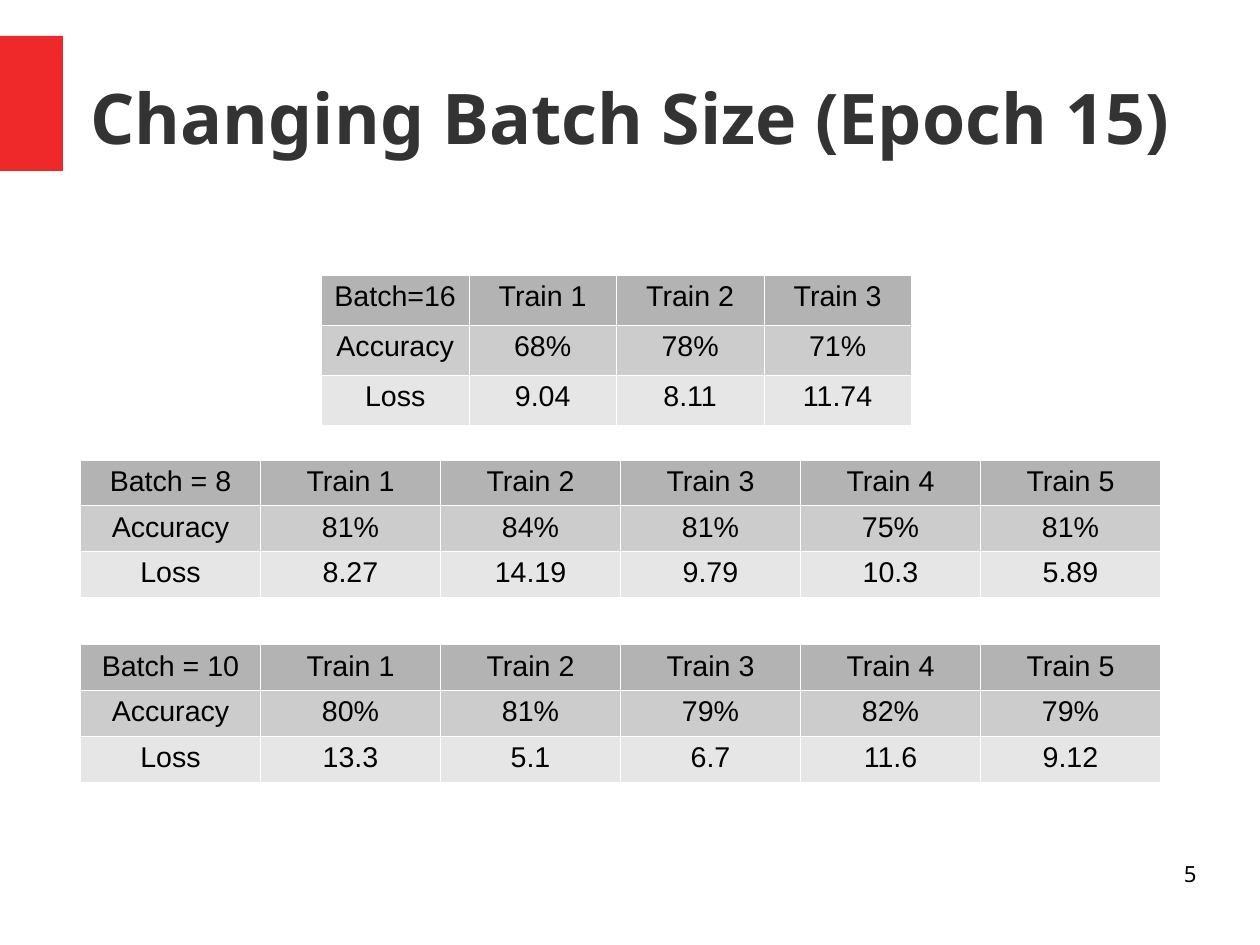
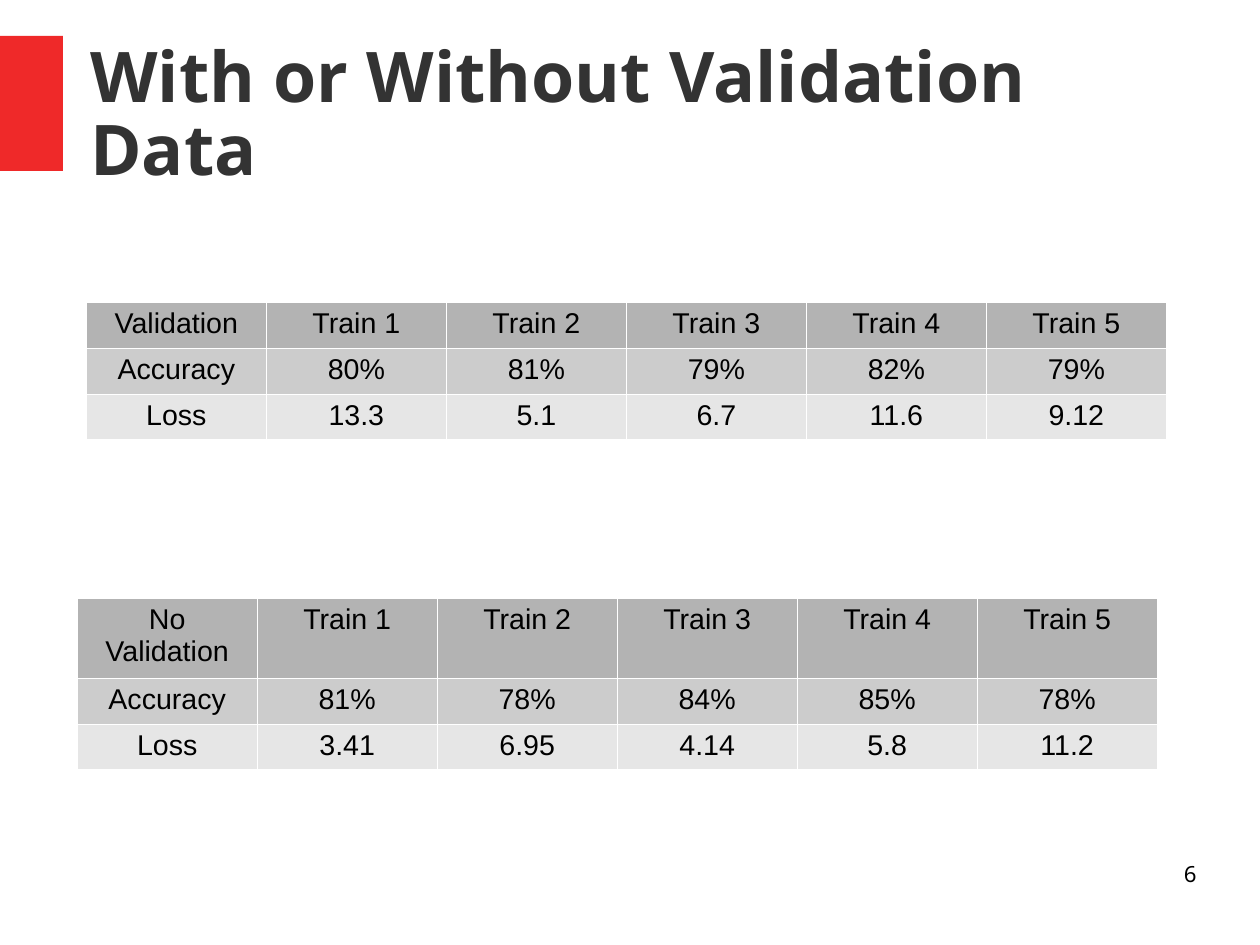
from lxml.etree import SubElement
from pptx import Presentation
from pptx.dml.color import RGBColor
from pptx.enum.shapes import MSO_SHAPE as Shape
from pptx.enum.text import MSO_ANCHOR as Anchor, PP_ALIGN as Align
from pptx.oxml.ns import qn
from pptx.util import Pt

SLIDE_WIDTH, SLIDE_HEIGHT = 793.7, 595.28
TITLE_MIDDLE = 73.6
WIDE_COLUMN = 113.4
ROW_HEIGHT = 28.8


def color(hex_string):
    return RGBColor.from_string(hex_string)


class Deck:
    """Holds the shared style and the slide being filled."""
    ACCENT, TITLE_INK, INK, BORDER = "EF2929", "333333", "000000", "FFFFFF"
    ROW_FILLS = ("B3B3B3", "CCCCCC", "E6E6E6")
    TITLE_FONT, TABLE_FONT = "Noto Sans", "Arial"

    def __init__(self, first_number):
        self.prs = Presentation()
        self.prs.slide_width, self.prs.slide_height = Pt(SLIDE_WIDTH), Pt(SLIDE_HEIGHT)
        self.number = first_number - 1

    def new_slide(self, title, title_height, title_spacing=1.0):
        self.slide = self.prs.slides.add_slide(self.prs.slide_layouts[6])
        self.number += 1
        self.accent_block()
        self.text(title, 56.9, TITLE_MIDDLE - title_height / 2, 697, title_height,
                  size=44, ink=self.TITLE_INK, bold=True, anchor=Anchor.MIDDLE,
                  spacing=title_spacing)
        self.text(str(self.number), 568.8, 542.2, 185, 41, size=14, ink=self.INK,
                  align=Align.RIGHT)

    def accent_block(self):
        block = self.slide.shapes.add_shape(Shape.RECTANGLE, 0, Pt(22.6), Pt(39.7), Pt(85))
        block.shadow.inherit = False
        block.fill.solid()
        block.fill.fore_color.rgb = color(self.ACCENT)
        block.line.fill.background()

    def style(self, paragraph, font_name, size, ink, align, bold=False):
        paragraph.alignment = align
        font = paragraph.font
        font.name, font.size, font.bold = font_name, Pt(size), bold
        font.color.rgb = color(ink)

    def text(self, words, left, top, width, height, size, ink, bold=False,
             align=Align.LEFT, anchor=Anchor.TOP, spacing=1.0):
        frame = self.slide.shapes.add_textbox(
            Pt(left), Pt(top), Pt(width), Pt(height)).text_frame
        frame.word_wrap = True
        frame.vertical_anchor = anchor
        frame.margin_left = frame.margin_right = frame.margin_top = frame.margin_bottom = 0
        frame.text = words
        paragraph = frame.paragraphs[0]
        paragraph.line_spacing = spacing
        self.style(paragraph, self.TITLE_FONT, size, ink, align, bold)

    def results(self, left, top, heading, accuracy, loss, column=WIDE_COLUMN,
                row=ROW_HEIGHT, header=None):
        """Adds a table of training runs; accuracy is in percent."""
        rows = [
            [heading] + [f"Train {run}" for run in range(1, len(accuracy) + 1)],
            ["Accuracy"] + [f"{value}%" for value in accuracy],
            ["Loss"] + [str(value) for value in loss],
        ]
        heights = [header or row, row, row]
        table = self.slide.shapes.add_table(
            len(rows), len(rows[0]), Pt(left), Pt(top),
            Pt(column * len(rows[0])), Pt(sum(heights))).table
        table.first_row = table.horz_banding = False
        for table_column in table.columns:
            table_column.width = Pt(column)
        for r, (words, height, fill) in enumerate(zip(rows, heights, self.ROW_FILLS)):
            table.rows[r].height = Pt(height)
            for c, word in enumerate(words):
                self.fill_cell(table.cell(r, c), word, fill)

    def fill_cell(self, cell, words, fill):
        cell.text = words
        for paragraph in cell.text_frame.paragraphs:
            self.style(paragraph, self.TABLE_FONT, 18, self.INK, Align.CENTER)
        properties = cell._tc.get_or_add_tcPr()
        for side in ("a:lnL", "a:lnR", "a:lnT", "a:lnB"):
            line = SubElement(properties, qn(side), w=str(Pt(0.06)))
            paint = SubElement(line, qn("a:solidFill"))
            SubElement(paint, qn("a:srgbClr"), val=self.BORDER)
        cell.fill.solid()
        cell.fill.fore_color.rgb = color(fill)


def main():
    deck = Deck(first_number=5)
    batch_10 = ([80, 81, 79, 82, 79], [13.3, 5.1, 6.7, 11.6, 9.12])

    deck.new_slide("Changing Batch Size (Epoch 15)", title_height=99.4)
    deck.results(50.7, 289.6, "Batch = 8", [81, 84, 81, 75, 81],
                 [8.27, 14.19, 9.79, 10.3, 5.89])
    deck.results(202.5, 173, "Batch=16", [68, 78, 71], [9.04, 8.11, 11.74],
                 column=92.9, row=31.5)
    deck.results(50.7, 406, "Batch = 10", *batch_10)

    deck.new_slide("With or Without Validation Data", title_height=120.2,
                   title_spacing=0.88)
    deck.results(54.4, 190.4, "Validation", *batch_10)
    deck.results(48.6, 376.6, "No\nValidation", [81, 78, 84, 85, 78],
                 [3.41, 6.95, 4.14, 5.8, 11.2], header=50.4)

    deck.prs.save("out.pptx")


if __name__ == "__main__":
    main()
